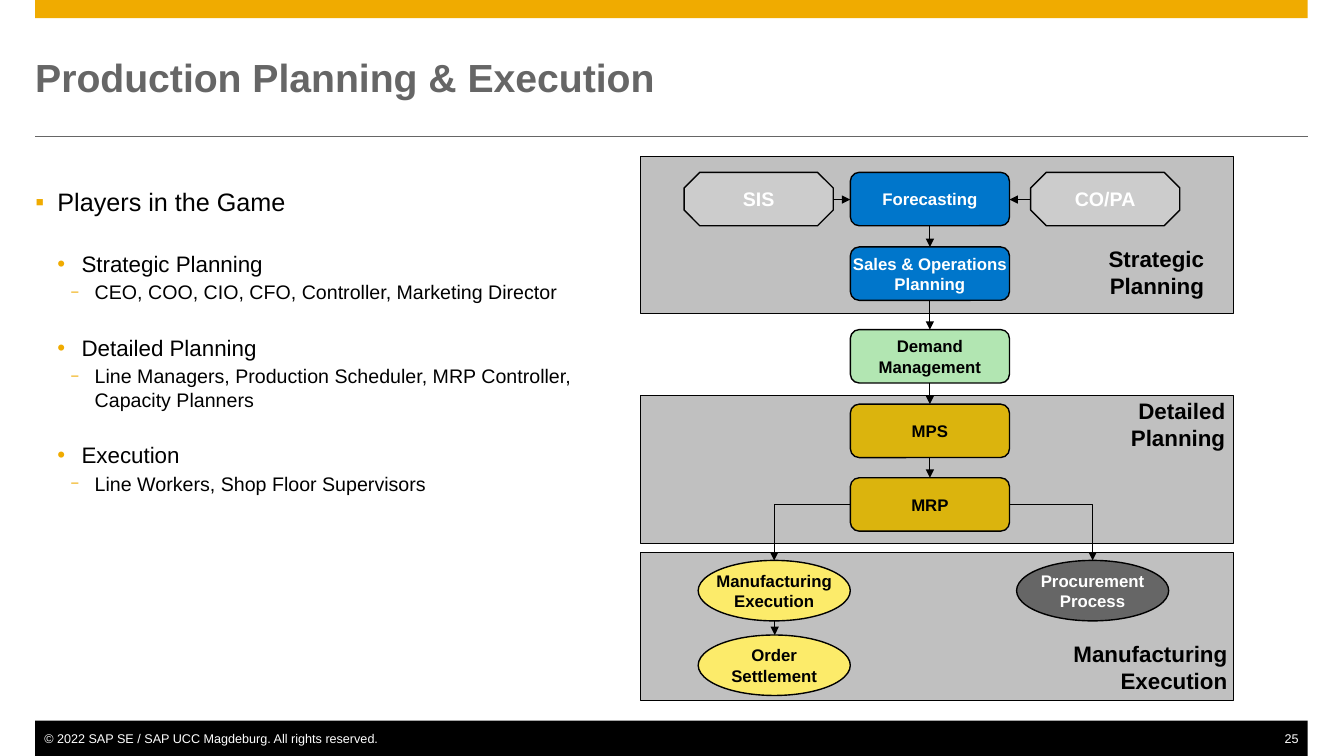
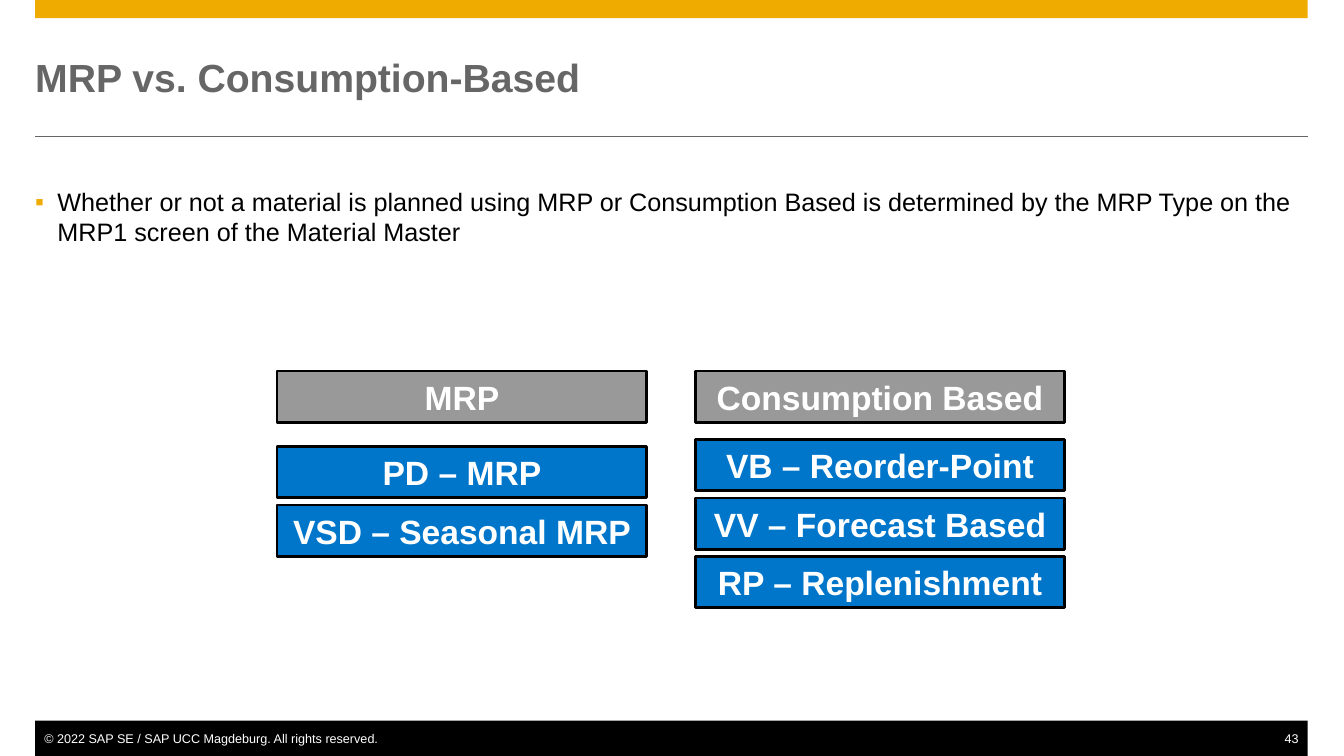
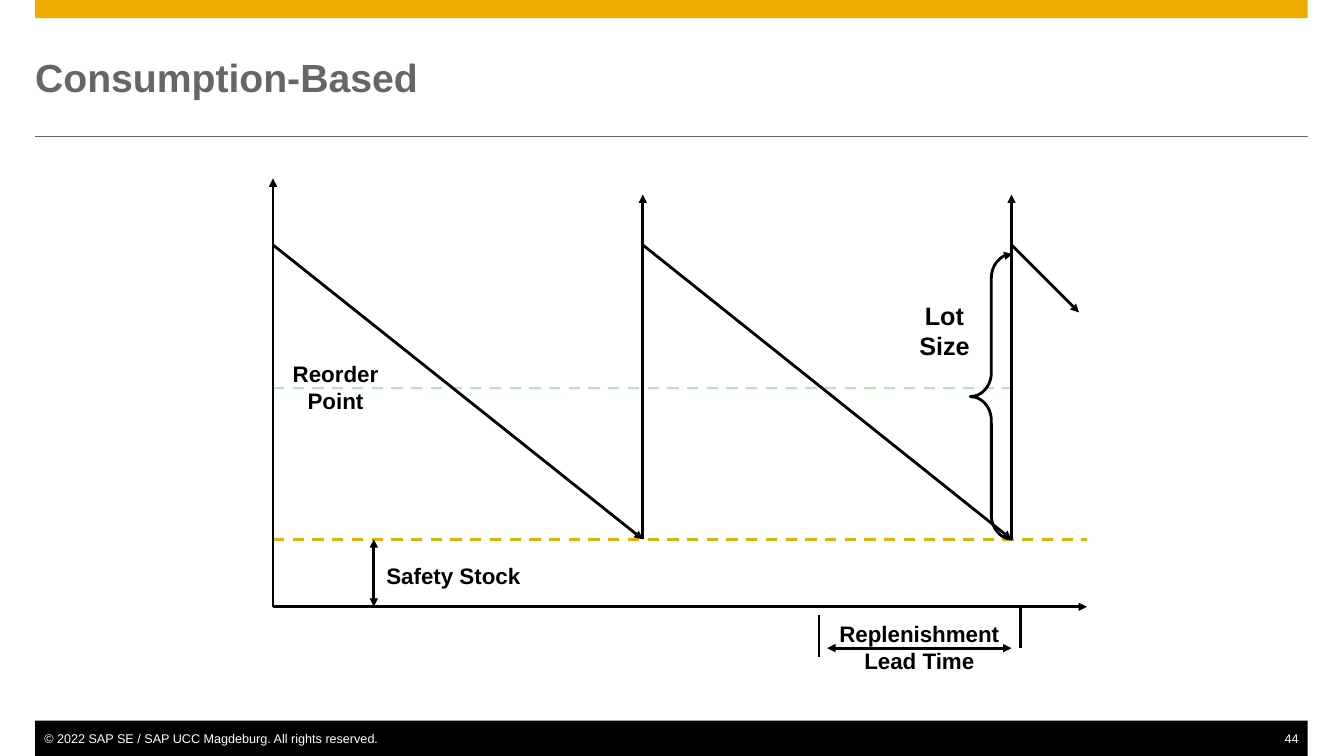
"""Build three slides on production planning and material planning."""
import lxml.etree
import pptx
import pptx.dml.color
import pptx.enum.dml
import pptx.enum.shapes
import pptx.enum.text
import pptx.oxml.ns
import pptx.util

Inches = pptx.util.Inches
Pt = pptx.util.Pt
RGBColor = pptx.dml.color.RGBColor
Shape = pptx.enum.shapes.MSO_SHAPE
Connector = pptx.enum.shapes.MSO_CONNECTOR
Align = pptx.enum.text.PP_ALIGN
Anchor = pptx.enum.text.MSO_ANCHOR
qn = pptx.oxml.ns.qn

FONT = "Arial"
COLORS = {
    "gold": "F0AB00", "title": "666666", "black": "000000", "white": "FFFFFF",
    "panel": "C0C0C0", "octagon": "CCCCCC", "header": "999999", "blue": "0076CB",
    "green": "B2E6B2", "ochre": "DBB40D", "yellow": "FCEB6A",
}
MARGIN, CONTENT_WIDTH = 0.35, 12.63


def add_box(slide, box, text="", size=12, color="black", bold=True, align=Align.CENTER,
            anchor=Anchor.MIDDLE, geometry=None, fill=None, outline=None,
            insets=(0.1, 0.05, 0.1, 0.05), wrap=True):
    left, top, width, height = [Inches(value) for value in box]
    if geometry is None:
        shape = slide.shapes.add_textbox(left, top, width, height)
    else:
        shape = slide.shapes.add_shape(geometry, left, top, width, height)
        shape.shadow.inherit = False
        shape.fill.background()
        shape.line.fill.background()
    if fill:
        shape.fill.solid()
        shape.fill.fore_color.rgb = RGBColor.from_string(COLORS[fill])
    if outline:
        shape.line.color.rgb = RGBColor.from_string(COLORS["black"])
        shape.line.width = Pt(outline)
    frame = shape.text_frame
    frame.word_wrap = wrap
    frame.vertical_anchor = anchor
    frame.margin_left, frame.margin_top, frame.margin_right, frame.margin_bottom = [
        Inches(value) for value in insets]
    paragraph = frame.paragraphs[0]
    paragraph.alignment = align
    for index, line in enumerate(text.split("\n") if text else []):
        if index:
            paragraph.add_line_break()
        run = paragraph.add_run()
        run.text = line
        run.font.name = FONT
        run.font.size = Pt(size)
        run.font.bold = bold
        run.font.color.rgb = RGBColor.from_string(COLORS[color])
    return shape


def add_line(slide, start, end, color="black", width=2.0, arrows=(), dashed=False,
             kind=Connector.STRAIGHT):
    connector = slide.shapes.add_connector(
        kind, *[Inches(value) for value in (*start, *end)])
    connector.line.color.rgb = RGBColor.from_string(COLORS[color])
    connector.line.width = Pt(width)
    if dashed:
        connector.line.dash_style = pptx.enum.dml.MSO_LINE.DASH
    properties = connector._element.spPr
    for arrow in arrows:
        lxml.etree.SubElement(properties.find(qn("a:ln")), qn("a:" + arrow), type="triangle")
    lxml.etree.SubElement(properties, qn("a:effectLst"))
    return connector


presentation = pptx.Presentation()
presentation.slide_width = Inches(13.34)
presentation.slide_height = Inches(7.5)

BULLET_STYLES = [
    {"size": 18, "left": 0.22, "hang": 0.22, "mark": "▪", "scale": 100},
    {"size": 16, "left": 0.46, "hang": 0.24, "mark": "•", "scale": 100},
    {"size": 14, "left": 0.59, "hang": 0.24, "mark": "−", "scale": 75},
]
PAGES = [
    ("Production Planning & Execution", "25", 5.35, [
        (0, "Players in the Game", 0),
        (1, "Strategic Planning", 24),
        (2, "CEO, COO, CIO, CFO, Controller, Marketing Director", 2.2),
        (1, "Detailed Planning", 21.7),
        (2, "Line Managers, Production Scheduler, MRP Controller, Capacity Planners", 2.2),
        (1, "Execution", 21.7),
        (2, "Line Workers, Shop Floor Supervisors", 2.2),
    ]),
    ("MRP vs. Consumption-Based", "43", CONTENT_WIDTH, [
        (0, "Whether or not a material is planned using MRP or Consumption Based is "
            "determined by the MRP Type on the MRP1 screen of the Material Master", 0),
    ]),
    ("Consumption-Based", "44", CONTENT_WIDTH, []),
]

slides = []
for title, number, body_width, bullets in PAGES:
    slide = presentation.slides.add_slide(presentation.slide_layouts[6])
    slides.append(slide)
    add_box(slide, (MARGIN, 0, CONTENT_WIDTH, 0.18), geometry=Shape.RECTANGLE, fill="gold")
    add_line(slide, (MARGIN, 1.35), (MARGIN + CONTENT_WIDTH, 1.35), "title", 0.5)
    add_box(slide, (MARGIN, 7.15, CONTENT_WIDTH, 0.35),
            "© 2022 SAP SE / SAP UCC Magdeburg. All rights reserved.", 9, "white", False,
            Align.LEFT, geometry=Shape.RECTANGLE, fill="black", insets=(0.09, 0, 0, 0))
    add_box(slide, (12.38, 7.15, 0.6, 0.35), number, 9, "white", False, Align.RIGHT,
            insets=(0, 0, 0.09, 0))
    add_box(slide, (MARGIN, 0.35, CONTENT_WIDTH, 0.83), title, 28, "title",
            align=Align.LEFT, insets=(0, 0, 0, 0))
    if not bullets:
        continue
    body = add_box(slide, (MARGIN, 1.85, body_width, 4.8), align=Align.LEFT,
                   anchor=Anchor.TOP, insets=(0, 0, 0, 0))
    for index, (level, text, gap) in enumerate(bullets):
        frame = body.text_frame
        paragraph = frame.add_paragraph() if index else frame.paragraphs[0]
        style = BULLET_STYLES[level]
        paragraph.level = level
        properties = paragraph._p.get_or_add_pPr()
        properties.set("marL", str(Inches(style["left"])))
        properties.set("indent", str(-Inches(style["hang"])))
        bullet_color = lxml.etree.SubElement(properties, qn("a:buClr"))
        lxml.etree.SubElement(bullet_color, qn("a:srgbClr"), val=COLORS["gold"])
        lxml.etree.SubElement(properties, qn("a:buSzPct"), val=str(style["scale"] * 1000))
        lxml.etree.SubElement(properties, qn("a:buFont"), typeface=FONT)
        lxml.etree.SubElement(properties, qn("a:buChar"), char=style["mark"])
        if gap:
            paragraph.space_before = Pt(gap)
        run = paragraph.add_run()
        run.text = text
        run.font.name = FONT
        run.font.size = Pt(style["size"])
        run.font.color.rgb = RGBColor.from_string(COLORS["black"])

flow_slide, types_slide, stock_slide = slides

for top, height in [(1.55, 1.56), (3.92, 1.47), (5.48, 1.47)]:
    add_box(flow_slide, (6.36, top, 5.88, height), geometry=Shape.RECTANGLE,
            fill="panel", outline=0.75)

stages = []
for top, text, fill, color in [
    (1.71, "Forecasting", "blue", "white"),
    (2.45, "Sales & Operations\nPlanning", "blue", "white"),
    (3.27, "Demand\nManagement", "green", "black"),
    (4.01, "MPS", "ochre", "black"),
    (4.74, "MRP", "ochre", "black"),
]:
    stages.append(add_box(flow_slide, (8.44, top, 1.58, 0.53), text, color=color, wrap=False,
                          geometry=Shape.ROUNDED_RECTANGLE, fill=fill, outline=1))

for left, text in [(6.79, "SIS"), (10.23, "CO/PA")]:
    octagon = add_box(flow_slide, (left, 1.71, 1.48, 0.53), text, 14, "white", wrap=False,
                      geometry=Shape.OCTAGON, fill="octagon", outline=1)
    octagon.adjustments[0] = 0.293

results = []
for left, top, text, fill, color in [
    (6.93, 5.56, "Manufacturing\nExecution", "yellow", "black"),
    (10.09, 5.56, "Procurement\nProcess", "title", "white"),
    (6.93, 6.3, "Order\nSettlement", "yellow", "black"),
]:
    results.append(add_box(flow_slide, (left, top, 1.51, 0.6), text, color=color, wrap=False,
                           geometry=Shape.OVAL, fill=fill, outline=1))

for box, text in [
    ((10.19, 2.38, 1.86, 0.64), "Strategic Planning"),
    ((10.4, 3.89, 1.86, 0.64), "Detailed Planning"),
    ((9.67, 6.3, 2.61, 0.64), "Manufacturing Execution"),
]:
    add_box(flow_slide, box, text, 16, align=Align.RIGHT)

for upper, lower in zip(stages, stages[1:]):
    connector = add_line(flow_slide, (9.23, 2.24), (9.23, 2.45), width=0.75, arrows=["tailEnd"])
    connector.begin_connect(upper, 2)
    connector.end_connect(lower, 0)

for start_x, end_x, side, result in [(8.44, 7.69, 1, results[0]), (10.02, 10.84, 3, results[1])]:
    connector = add_line(flow_slide, (start_x, 5.01), (end_x, 5.56), width=0.75,
                         arrows=["tailEnd"], kind=Connector.ELBOW)
    connector._element.spPr.find(qn("a:prstGeom")).set("prst", "bentConnector2")
    connector.begin_connect(stages[-1], side)
    connector.end_connect(result, 0)

for start, end in [
    ((7.69, 6.16), (7.69, 6.3)),
    ((8.27, 1.98), (8.44, 1.98)),
    ((10.23, 1.98), (10.02, 1.98)),
]:
    add_line(flow_slide, start, end, width=0.75, arrows=["tailEnd"])

for left, header, first_top, planning_types in [
    (2.75, "MRP", 4.43, ["PD – MRP", "VSD – Seasonal MRP"]),
    (6.9, "Consumption Based", 4.36,
     ["VB – Reorder-Point", "VV – Forecast Based", "RP – Replenishment"]),
]:
    rows = [(3.68, header, "header")]
    rows += [(first_top + 0.58 * index, text, "blue")
             for index, text in enumerate(planning_types)]
    for top, text, fill in rows:
        add_box(types_slide, (left, top, 3.67, 0.51), text, 24, "white",
                geometry=Shape.RECTANGLE, fill=fill, outline=2)

AXIS_X, SECOND_X, THIRD_X, END_X = 2.71, 6.38, 10.04, 10.79
PEAK_Y, REORDER_Y, SAFETY_Y, AXIS_Y = 2.43, 3.85, 5.35, 6.02

add_line(stock_slide, (AXIS_X, SAFETY_Y), (END_X, SAFETY_Y), "ochre", dashed=True)
add_line(stock_slide, (AXIS_X, REORDER_Y), (THIRD_X, REORDER_Y), "green", dashed=True)
for start, end, arrows in [
    ((AXIS_X, AXIS_Y), (END_X, AXIS_Y), ["tailEnd"]),
    ((AXIS_X, AXIS_Y), (AXIS_X, 1.77), ["tailEnd"]),
    ((AXIS_X, PEAK_Y), (SECOND_X, SAFETY_Y), ["tailEnd"]),
    ((SECOND_X, SAFETY_Y), (SECOND_X, 1.93), ["tailEnd"]),
    ((SECOND_X, PEAK_Y), (THIRD_X, SAFETY_Y), ["tailEnd"]),
    ((THIRD_X, SAFETY_Y), (THIRD_X, 1.93), ["tailEnd"]),
    ((THIRD_X, PEAK_Y), (10.71, 3.1), ["tailEnd"]),
    ((3.71, SAFETY_Y), (3.71, AXIS_Y), ["headEnd", "tailEnd"]),
    ((8.13, 6.1), (8.13, 6.52), []),
    ((10.13, AXIS_Y), (10.13, 6.43), []),
    ((THIRD_X, 6.43), (8.21, 6.43), ["headEnd", "tailEnd"]),
]:
    add_line(stock_slide, start, end, arrows=arrows)

brace = add_box(stock_slide, (9.63, 2.52, 0.42, 2.83), geometry=Shape.LEFT_BRACE, outline=2)
brace.adjustments[0] = 0.567
lxml.etree.SubElement(brace._element.spPr.find(qn("a:ln")), qn("a:tailEnd"), type="triangle")

for box, text, size in [
    ((8.96, 2.93, 0.83, 0.7), "Lot Size", 18),
    ((8.21, 6.1, 1.83, 0.64), "Replenishment Lead Time", 16),
    ((3.71, 5.52, 1.58, 0.37), "Safety Stock", 16),
    ((2.54, 3.52, 1.58, 0.64), "Reorder Point", 16),
]:
    add_box(stock_slide, box, text, size)

presentation.save("out.pptx")
